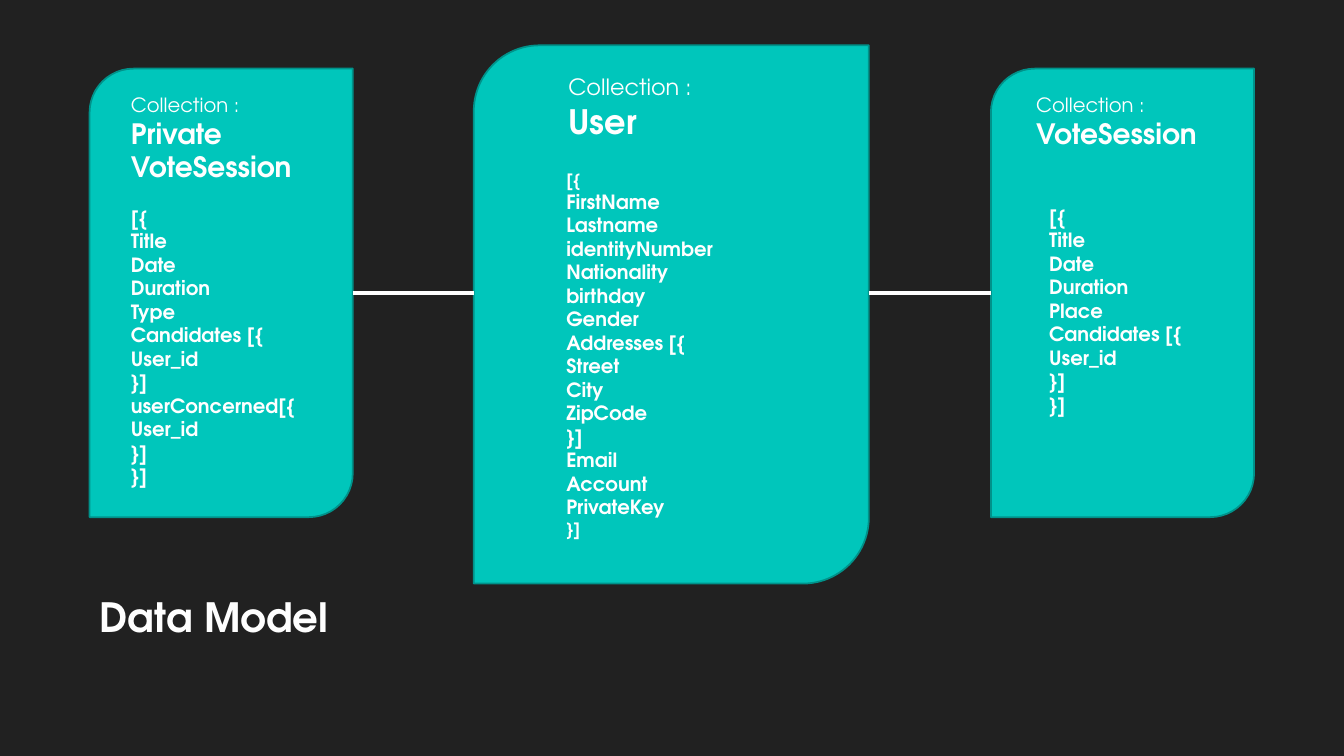
"""Build the data model slide with three linked collection cards."""
from pptx import Presentation
from pptx.dml.color import RGBColor
from pptx.enum import shapes, text
from pptx.oxml import parse_xml
from pptx.oxml.ns import nsdecls
from pptx.util import Pt

BACKGROUND = RGBColor(0x21, 0x21, 0x21)
TEAL = RGBColor(0x00, 0xC6, 0xBB)
DARK_TEAL = RGBColor(0x00, 0x92, 0x8A)
WHITE = RGBColor(0xFF, 0xFF, 0xFF)
OFF_WHITE = RGBColor(0xFE, 0xFE, 0xFE)
FONT = "TeX Gyre Adventor"

TITLE = "Data Model"
COLLECTIONS = [
    {"name": "Private VoteSession", "card": (64, 49, 188, 320.4),
     "heading": (86.4, 62.6, 138.2, 72.7), "heading_sizes": (14, 20),
     "listing": (86.4, 143.3, 152, 211), "bracket_size": 14,
     "fields": ["Title", "Date", "Duration", "Type", "Candidates [{", "User_id", "}]",
                "userConcerned[{", "User_id", "}]"]},
    {"name": "User", "card": (338.4, 32.4, 282.2, 384.5),
     "heading": (398.9, 49, 217.4, 55.4), "heading_sizes": (16, 24),
     "listing": (397.4, 117.4, 164.2, 276.5), "bracket_size": 12,
     "fields": ["FirstName", "Lastname", "identityNumber", "Nationality", "birthday",
                "Gender", "Addresses [{", "Street", "City", "ZipCode", "}]", "Email",
                "Account", "PrivateKey"]},
    {"name": "VoteSession", "card": (707.8, 49, 188, 320.4),
     "heading": (733, 62.6, 217.4, 48.2), "heading_sizes": (14, 20),
     "listing": (742.3, 142.6, 123.8, 159.8), "bracket_size": 14,
     "fields": ["Title", "Date", "Duration", "Place", "Candidates [{", "User_id", "}]"]},
]
FIELD_SIZE = 14


def points(values):
    return [Pt(value) for value in values]


def style(font, size, bold, color=WHITE):
    font.name, font.size, font.bold = FONT, Pt(size), bold
    font.color.rgb = color


def add_card(slide, box):
    card = slide.shapes.add_shape(shapes.MSO_SHAPE.ROUND_2_DIAG_RECTANGLE, *points(box))
    card.shadow.inherit = False
    card.fill.solid()
    card.fill.fore_color.rgb = TEAL
    card.line.color.rgb = DARK_TEAL
    card.line.width = Pt(1.25)


def add_lines(slide, box, lines):
    frame = slide.shapes.add_textbox(*points(box)).text_frame
    frame.word_wrap = True
    frame.text = "\n".join(line for line, size, bold in lines)
    for paragraph, (line, size, bold) in zip(frame.paragraphs, lines):
        style(paragraph.font, size, bold)


def add_link(slide, start, end, y):
    link = slide.shapes.add_connector(
        shapes.MSO_CONNECTOR.STRAIGHT, *points((start, y, end, y)))
    link.line.color.rgb = WHITE
    link.line.width = Pt(3)
    link._element.spPr.append(parse_xml(f"<a:effectLst {nsdecls('a')}/>"))


def add_title(slide):
    title = slide.shapes.title
    title.left, title.top, title.width, title.height = points((64, 416.9, 831.6, 44.6))
    frame = title.text_frame
    frame.text = TITLE
    frame.auto_size = text.MSO_AUTO_SIZE.NONE
    frame.vertical_anchor = text.MSO_ANCHOR.BOTTOM
    heading = frame.paragraphs[0]
    heading.alignment = text.PP_ALIGN.LEFT
    style(heading.font, 28.8, True, OFF_WHITE)


def main():
    deck = Presentation()
    deck.slide_width, deck.slide_height = Pt(960), Pt(540)
    slide = deck.slides.add_slide(deck.slide_layouts[5])
    slide.background.fill.solid()
    slide.background.fill.fore_color.rgb = BACKGROUND
    add_title(slide)

    for collection in COLLECTIONS:
        add_card(slide, collection["card"])
        label_size, name_size = collection["heading_sizes"]
        add_lines(slide, collection["heading"],
                  [("Collection :", label_size, False), (collection["name"], name_size, True)])
        bracket_size = collection["bracket_size"]
        fields = [(field, FIELD_SIZE, True) for field in collection["fields"]]
        add_lines(slide, collection["listing"],
                  [("[{", bracket_size, True), *fields, ("}]", bracket_size, True)])

    cards = [collection["card"] for collection in COLLECTIONS]
    link_y = cards[0][1] + cards[0][3] / 2
    for (left, _, width, _), following in zip(cards, cards[1:]):
        add_link(slide, left + width, following[0], link_y)

    deck.save("out.pptx")


if __name__ == "__main__":
    main()
